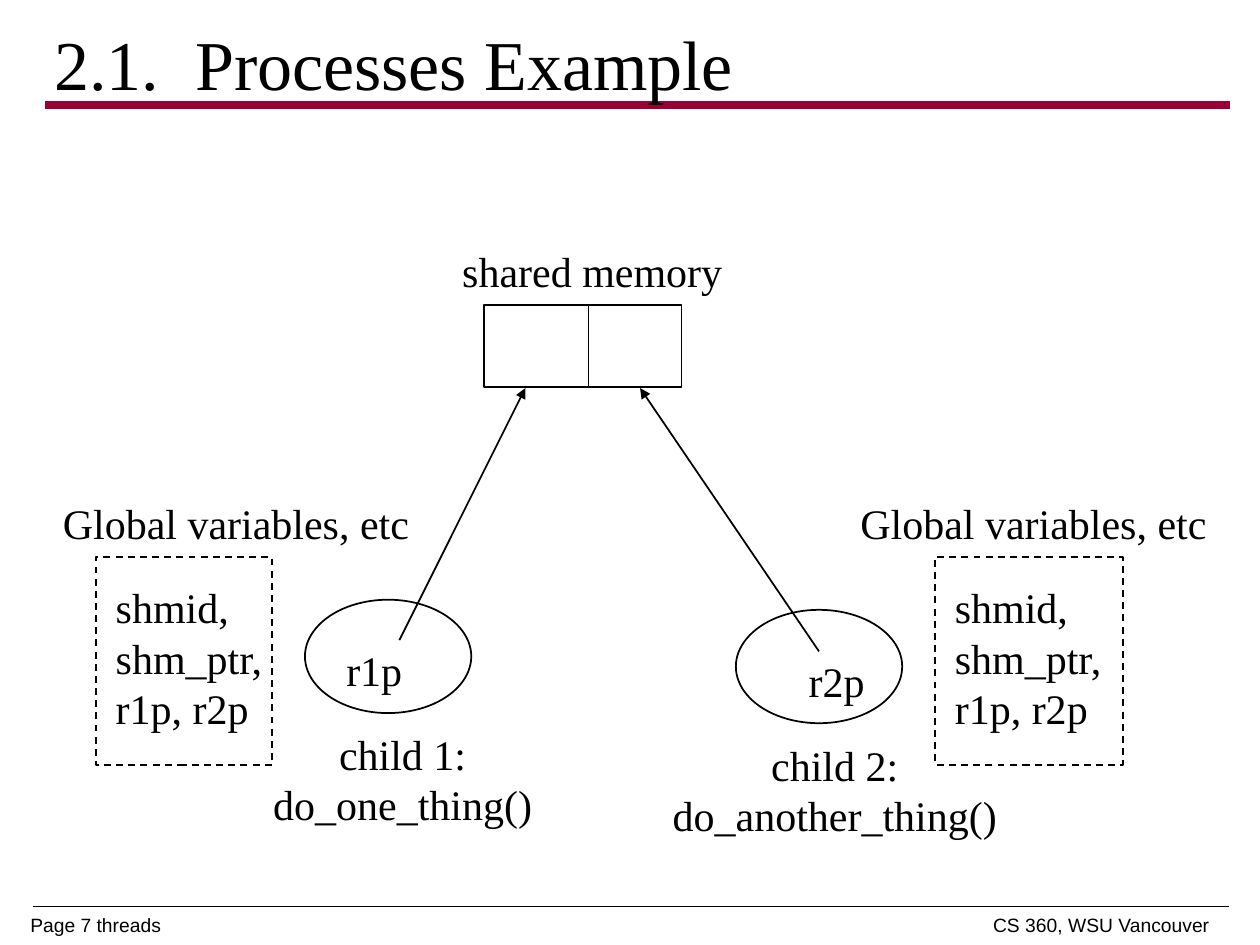
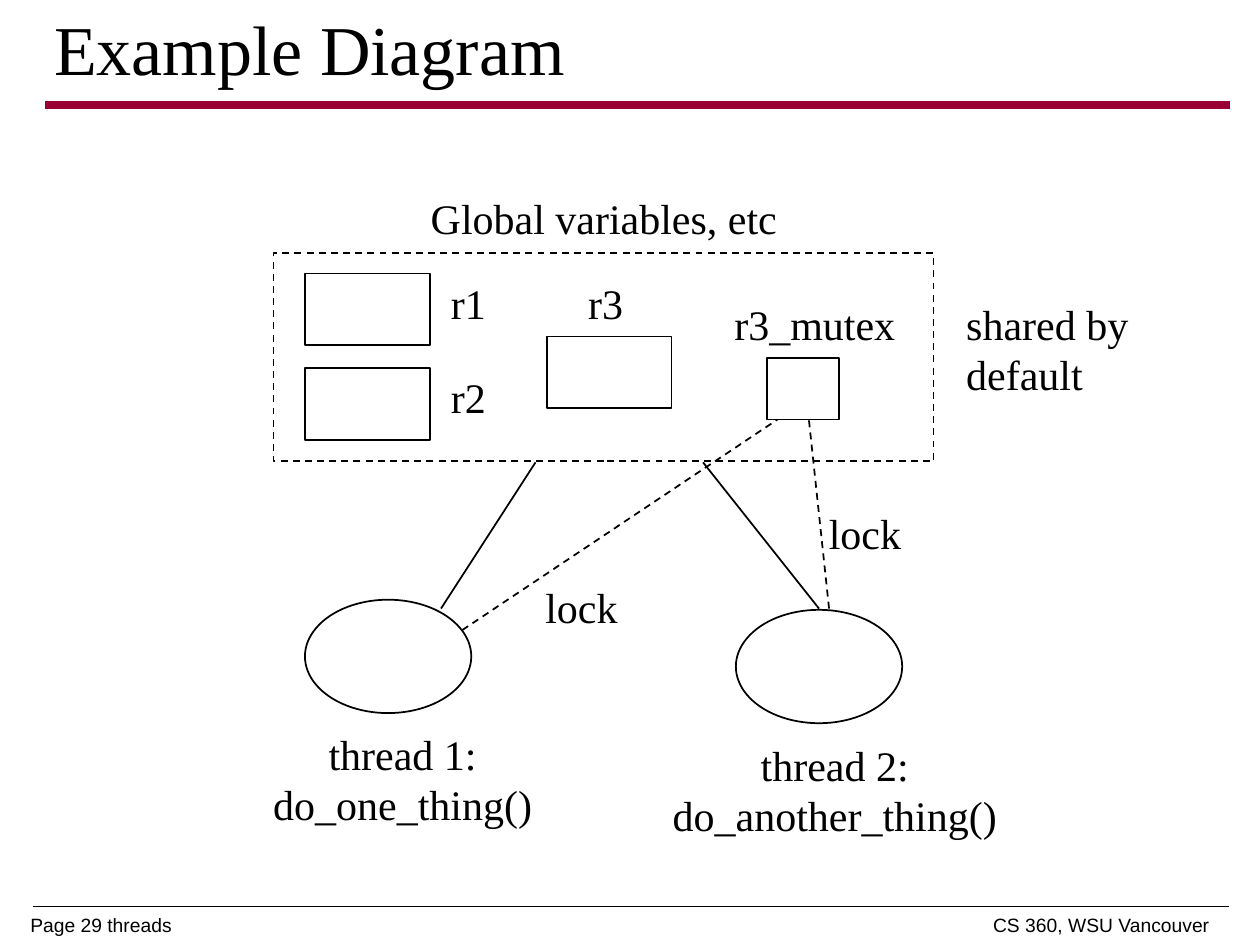
from dataclasses import dataclass

from lxml import etree
from pptx import Presentation
from pptx.dml.color import RGBColor
from pptx.enum.dml import MSO_LINE
from pptx.enum.shapes import MSO_CONNECTOR, MSO_SHAPE
from pptx.enum.text import MSO_ANCHOR, MSO_AUTO_SIZE, PP_ALIGN
from pptx.oxml.ns import qn
from pptx.util import Inches, Pt

STRAIGHT = MSO_CONNECTOR.STRAIGHT
RECTANGLE = MSO_SHAPE.RECTANGLE
ELLIPSE = MSO_SHAPE.OVAL
DASH = MSO_LINE.DASH
LEFT = PP_ALIGN.LEFT
CENTER = PP_ALIGN.CENTER


@dataclass(frozen=True)
class Theme:
    ink: RGBColor = RGBColor(0x00, 0x00, 0x00)
    paper: RGBColor = RGBColor(0xFF, 0xFF, 0xFF)
    accent: RGBColor = RGBColor(0x99, 0x00, 0x33)
    serif: str = "Times New Roman"
    sans: str = "Arial"
    title_size: float = 40
    label_size: float = 24
    footer_size: float = 11
    outline: float = 1


THEME = Theme()
TITLE_LEFT, TITLE_WIDTH = 0.33, 8.5
TITLE_TAB = 1.12
FOOTER_BOX = (0.24, 7.26, 9.39, 0.24)
FOOTER_TAB = 9.36
COURSE = "CS 360, WSU Vancouver"
RULES = [
    ((0.26, 7.19), (9.75, 7.19), THEME.ink, 0.25),
    ((0.36, 0.83), (9.76, 0.83), THEME.accent, 4.5),
]

WORKER_SIZE = (1.32, 0.9)
WORKERS = [
    {"number": 1, "ellipse": (2.42, 4.76), "caption": (2.05, 5.73, 2.29), "task": "do_one_thing()"},
    {"number": 2, "ellipse": (5.84, 4.84), "caption": (5.22, 5.82, 2.81), "task": "do_another_thing()"},
]

GLOBALS_TITLE = "Global variables, etc"
GLOBALS_TITLE_WIDTH = 2.98
PROCESS_GLOBALS = "shmid,\vshm_ptr,\vr1p, r2p"
PROCESS_GLOBALS_WIDTH = 1.4
POINTER_WIDTH = 0.67
REGISTER_WIDTH = 0.51
LOCK_WIDTH = 0.8
REGISTER_SIZE = (0.99, 0.57)

SLIDES = [
    {
        "title": "2.1.\tProcesses Example",
        "title_height": 1,
        "page": 7,
        "worker": "child",
        "dashed_boxes": [(0.76, 4.42, 1.4, 1.65), (7.42, 4.42, 1.49, 1.65)],
        "boxes": [(3.84, 2.42, 1.57, 0.65)],
        "lines": [((4.67, 2.42), (4.67, 3.08))],
        "arrows": [((3.17, 5.08), (4.17, 3.08)), ((6.5, 5.17), (5.08, 3.08))],
        "dashed_lines": [],
        "labels": [
            ("shared memory", 3.57, 1.9, 2.29),
            ("r1p", 2.65, 5.07, POINTER_WIDTH),
            ("r2p", 6.32, 5.15, POINTER_WIDTH),
            (GLOBALS_TITLE, 0.4, 3.9, GLOBALS_TITLE_WIDTH),
            (PROCESS_GLOBALS, 0.82, 4.57, PROCESS_GLOBALS_WIDTH),
            (GLOBALS_TITLE, 6.73, 3.9, GLOBALS_TITLE_WIDTH),
            (PROCESS_GLOBALS, 7.48, 4.57, PROCESS_GLOBALS_WIDTH),
        ],
    },
    {
        "title": "Example Diagram",
        "title_height": 0.75,
        "page": 29,
        "worker": "thread",
        "dashed_boxes": [(2.17, 2.01, 5.24, 1.65)],
        "boxes": [
            (2.42, 2.17, *REGISTER_SIZE),
            (2.42, 2.92, *REGISTER_SIZE),
            (4.34, 2.67, *REGISTER_SIZE),
            (6.09, 2.84, 0.57, 0.49),
        ],
        "lines": [((3.5, 4.83), (4.25, 3.67)), ((6.5, 4.83), (5.58, 3.67))],
        "arrows": [],
        "dashed_lines": [((3.67, 5), (6.17, 3.33)), ((6.58, 4.83), (6.42, 3.33))],
        "labels": [
            (GLOBALS_TITLE, 3.32, 1.48, GLOBALS_TITLE_WIDTH),
            ("r1", 3.48, 2.15, REGISTER_WIDTH),
            ("r2", 3.48, 2.9, REGISTER_WIDTH),
            ("r3", 4.57, 2.15, REGISTER_WIDTH),
            ("r3_mutex", 5.73, 2.32, 1.51),
            ("shared by\ndefault", 7.57, 2.32, 1.52),
            ("lock", 4.23, 4.57, LOCK_WIDTH),
            ("lock", 6.48, 3.98, LOCK_WIDTH),
        ],
    },
]


def inches(values):
    return [Inches(value) for value in values]


def set_tab(paragraph, position, alignment):
    tabs = etree.SubElement(paragraph._p.get_or_add_pPr(), qn("a:tabLst"))
    etree.SubElement(tabs, qn("a:tab"), pos=str(Inches(position)), algn=alignment)


def style(paragraph, name, size, alignment=LEFT):
    paragraph.alignment = alignment
    paragraph.font.name = name
    paragraph.font.size = Pt(size)
    paragraph.font.color.rgb = THEME.ink


def add_line(slide, start, end, color=THEME.ink, width=THEME.outline, dash=None, arrow=False):
    connector = slide.shapes.add_connector(STRAIGHT, *inches(start + end))
    connector.line.color.rgb = color
    connector.line.width = Pt(width)
    if dash:
        connector.line.dash_style = dash
    if arrow:
        etree.SubElement(connector.line._get_or_add_ln(), qn("a:tailEnd"), type="triangle")
    etree.SubElement(connector.element.spPr, qn("a:effectLst"))
    return connector


def add_outline(slide, kind, box, dash=None):
    shape = slide.shapes.add_shape(kind, *inches(box))
    shape.shadow.inherit = False
    shape.fill.solid()
    shape.fill.fore_color.rgb = THEME.paper
    shape.line.color.rgb = THEME.ink
    shape.line.width = Pt(THEME.outline)
    if dash:
        shape.line.dash_style = dash


def add_label(slide, text, left, top, width, alignment=LEFT):
    height = 0.1 + 0.4 * len(text.splitlines())
    frame = slide.shapes.add_textbox(*inches((left, top, width, height))).text_frame
    frame.word_wrap = False
    frame.auto_size = MSO_AUTO_SIZE.NONE
    frame.text = text
    for paragraph in frame.paragraphs:
        style(paragraph, THEME.serif, THEME.label_size, alignment)


def set_title(slide, text, height):
    title = slide.shapes.title
    title.left, title.top, title.width, title.height = inches((TITLE_LEFT, 0, TITLE_WIDTH, height))
    frame = title.text_frame
    frame.auto_size = MSO_AUTO_SIZE.NONE
    frame.vertical_anchor = MSO_ANCHOR.MIDDLE
    frame.text = text
    paragraph = frame.paragraphs[0]
    set_tab(paragraph, TITLE_TAB, "l")
    style(paragraph, THEME.serif, THEME.title_size)


def add_footer(slide, page):
    frame = slide.shapes.add_textbox(*inches(FOOTER_BOX)).text_frame
    frame.margin_left = frame.margin_right = frame.margin_top = frame.margin_bottom = 0
    frame.word_wrap = True
    frame.text = f"Page {page} threads\t{COURSE}"
    paragraph = frame.paragraphs[0]
    set_tab(paragraph, FOOTER_TAB, "r")
    paragraph.line_spacing = 0.96
    style(paragraph, THEME.sans, THEME.footer_size)


def share_rules(slide):
    for number, rule in enumerate(RULES, start=100):
        connector = add_line(slide, *rule)
        connector.element.xpath(".//p:cNvPr")[0].set("id", str(number))
        slide.slide_layout.shapes.element.append(connector.element)


def add_diagram(slide, content):
    for box in content["dashed_boxes"]:
        add_outline(slide, RECTANGLE, box, DASH)
    for box in content["boxes"]:
        add_outline(slide, RECTANGLE, box)
    for worker in WORKERS:
        add_outline(slide, ELLIPSE, worker["ellipse"] + WORKER_SIZE)
        caption = f"{content['worker']} {worker['number']}:\v{worker['task']}"
        add_label(slide, caption, *worker["caption"], CENTER)
    for start, end in content["lines"]:
        add_line(slide, start, end)
    for start, end in content["arrows"]:
        add_line(slide, start, end, arrow=True)
    for start, end in content["dashed_lines"]:
        add_line(slide, start, end, dash=DASH)
    for label in content["labels"]:
        add_label(slide, *label)


def main():
    presentation = Presentation()
    presentation.slide_width, presentation.slide_height = inches((10, 7.5))
    title_only = presentation.slide_layouts[5]
    for content in SLIDES:
        slide = presentation.slides.add_slide(title_only)
        set_title(slide, content["title"], content["title_height"])
        add_footer(slide, content["page"])
        add_diagram(slide, content)
    share_rules(presentation.slides[0])
    presentation.save("out.pptx")


if __name__ == "__main__":
    main()
